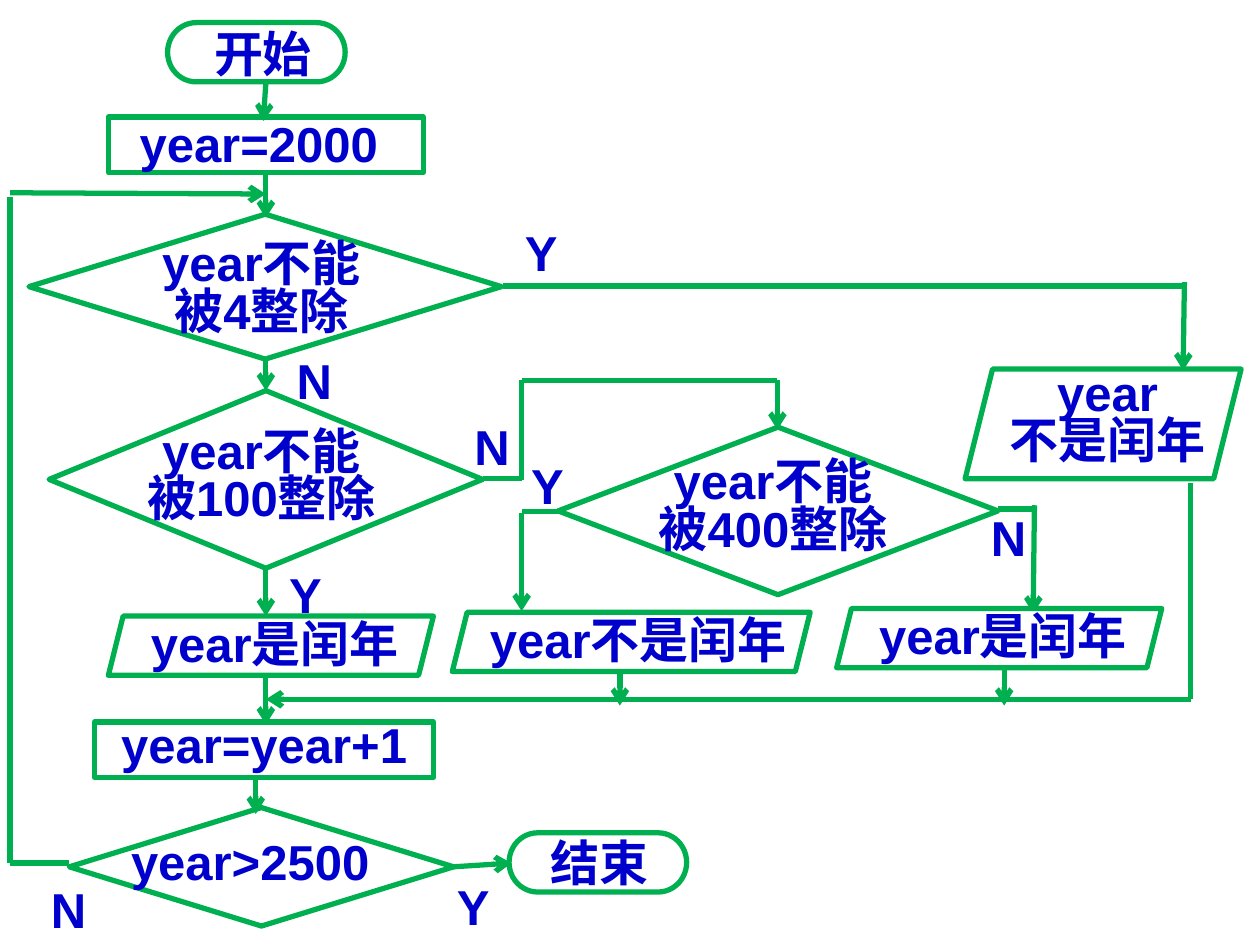
from lxml.etree import SubElement
from pptx import Presentation
from pptx.dml.color import RGBColor
from pptx.enum.shapes import MSO_CONNECTOR, MSO_SHAPE
from pptx.enum.text import MSO_AUTO_SIZE, PP_ALIGN
from pptx.oxml.ns import qn
from pptx.util import Inches, Pt

GREEN = RGBColor(0x00, 0xB0, 0x50)
BLUE = RGBColor(0x00, 0x00, 0xCC)
WHITE = RGBColor(0xFF, 0xFF, 0xFF)

TERMINATOR = MSO_SHAPE.FLOWCHART_TERMINATOR
PROCESS = MSO_SHAPE.RECTANGLE
DECISION = MSO_SHAPE.FLOWCHART_DECISION
OUTPUT = MSO_SHAPE.PARALLELOGRAM
LEFT, CENTER = PP_ALIGN.LEFT, PP_ALIGN.CENTER

# Outline, its box, text box, lines of text, alignment
NODES = [
    (TERMINATOR, (1.33, 0.18, 1.41, 0.47), (1.6, 0.14, 1.02, 0.57), ["开始"], LEFT),
    (PROCESS, (0.86, 0.93, 2.5, 0.44), (1.01, 0.85, 2.27, 0.57), ["year=2000"], LEFT),
    (DECISION, (0.23, 1.7, 3.75, 1.15), (0.94, 1.89, 2.27, 0.85), ["year不能", "被4整除"], CENTER),
    (OUTPUT, (0.86, 4.89, 2.58, 0.47), (0.97, 4.82, 2.42, 0.57), ["year是闰年"], CENTER),
    (DECISION, (0.39, 3.1, 3.44, 1.41), (0.94, 3.38, 2.27, 0.85), ["year不能", "被100整除"], CENTER),
    (PROCESS, (0.75, 5.73, 2.69, 0.44), (0.65, 5.62, 2.89, 0.57), ["year=year+1"], CENTER),
    (DECISION, (0.55, 6.41, 3.05, 0.94), (0.85, 6.64, 2.27, 0.48), ["year>2500"], CENTER),
    (TERMINATOR, (4.04, 6.61, 1.41, 0.47), (4.27, 6.56, 1.02, 0.57), ["结束"], LEFT),
    (DECISION, (4.43, 3.39, 3.49, 1.33), (5, 3.62, 2.27, 0.85), ["year不能", "被400整除"], CENTER),
    (OUTPUT, (7.66, 2.93, 2.19, 0.87), (7.89, 2.92, 1.8, 0.85), ["year", "不是闰年"], CENTER),
    (OUTPUT, (6.64, 4.83, 2.58, 0.47), (6.75, 4.76, 2.42, 0.57), ["year是闰年"], CENTER),
    (OUTPUT, (3.59, 4.86, 2.84, 0.47), (3.7, 4.79, 2.73, 0.57), ["year不是闰年"], CENTER),
]

ARROWS = [
    (2.11, 0.66, 2.09, 0.96), (2.11, 1.35, 2.11, 1.73),
    (2.11, 2.81, 2.11, 3.1), (2.11, 4.5, 2.11, 4.89),
    (2.11, 5.36, 2.11, 5.75), (3.59, 6.88, 4.06, 6.85),
    (0.08, 1.53, 2.11, 1.54), (6.17, 3.02, 6.17, 3.41),
    (9.4, 2.24, 9.39, 2.94), (8.21, 4.01, 8.2, 4.87),
    (4.14, 4.07, 4.14, 4.85), (9.45, 5.55, 2.11, 5.55),
    (4.92, 5.31, 4.92, 5.6), (7.97, 5.31, 7.97, 5.6),
]
INCREMENT_EXIT = (2.03, 6.15, 2.03, 6.46)

PLAIN_LINES = [
    (0.55, 6.85, 0.08, 6.85), (0.08, 6.85, 0.08, 1.56),
    (4.14, 3.8, 3.83, 3.8), (4.14, 3.81, 4.14, 3.02),
    (6.17, 3.02, 4.14, 3.02), (4.45, 4.06, 4.14, 4.06),
    (8.23, 4.04, 7.92, 4.04), (9.38, 2.27, 3.99, 2.27),
    (9.45, 5.55, 9.45, 3.83),
]

BRANCH_LABELS = [
    ("N", 0.23, 6.93), ("Y", 2.11, 4.43), ("N", 2.18, 2.73),
    ("Y", 3.44, 6.91), ("Y", 3.98, 1.72), ("N", 3.59, 3.26),
    ("Y", 4.03, 3.57), ("N", 7.69, 3.98),
]


def inches(values):
    return [Inches(value) for value in values]


def style_line(line):
    line.color.rgb = GREEN
    line.width = Pt(3)


def add_line(shapes, ends, arrow=False):
    connector = shapes.add_connector(MSO_CONNECTOR.STRAIGHT, *inches(ends))
    style_line(connector.line)
    if arrow:
        SubElement(connector.line._get_or_add_ln(), qn("a:tailEnd"), type="arrow")
    SubElement(connector._element.spPr, qn("a:effectLst"))


def add_text(shapes, box, lines, align=CENTER, spacing=None):
    frame = shapes.add_textbox(*inches(box)).text_frame
    frame.word_wrap = True
    frame.auto_size = MSO_AUTO_SIZE.SHAPE_TO_FIT_TEXT
    for index, text in enumerate(lines):
        paragraph = frame.add_paragraph() if index else frame.paragraphs[0]
        paragraph.alignment = align
        if spacing:
            paragraph.line_spacing = spacing
        run = paragraph.add_run()
        run.text = text
        run.font.name = "Arial"
        run.font.size = Pt(28)
        run.font.bold = True
        run.font.color.rgb = BLUE


def add_node(shapes, kind, box, text_box, lines, align):
    """Group an outline with its text; decisions and two-line texts are set tight."""
    group = shapes.add_group_shape()
    outline = group.shapes.add_shape(kind, *inches(box))
    outline.shadow.inherit = False
    if kind == PROCESS:
        outline.fill.background()
    else:
        outline.fill.solid()
        outline.fill.fore_color.rgb = WHITE
    style_line(outline.line)
    tight = kind == DECISION or len(lines) > 1
    add_text(group.shapes, text_box, lines, align, Pt(27) if tight else None)


def main():
    presentation = Presentation()
    presentation.slide_width = Inches(10)
    presentation.slide_height = Inches(7.5)
    shapes = presentation.slides.add_slide(presentation.slide_layouts[6]).shapes

    for ends in PLAIN_LINES:
        add_line(shapes, ends)
    for ends in ARROWS:
        add_line(shapes, ends, arrow=True)
    for node in NODES:
        add_node(shapes, *node)
    add_line(shapes, INCREMENT_EXIT, arrow=True)
    for letter, left, top in BRANCH_LABELS:
        add_text(shapes, (left, top, 0.63, 0.57), [letter])

    presentation.save("out.pptx")


if __name__ == "__main__":
    main()
